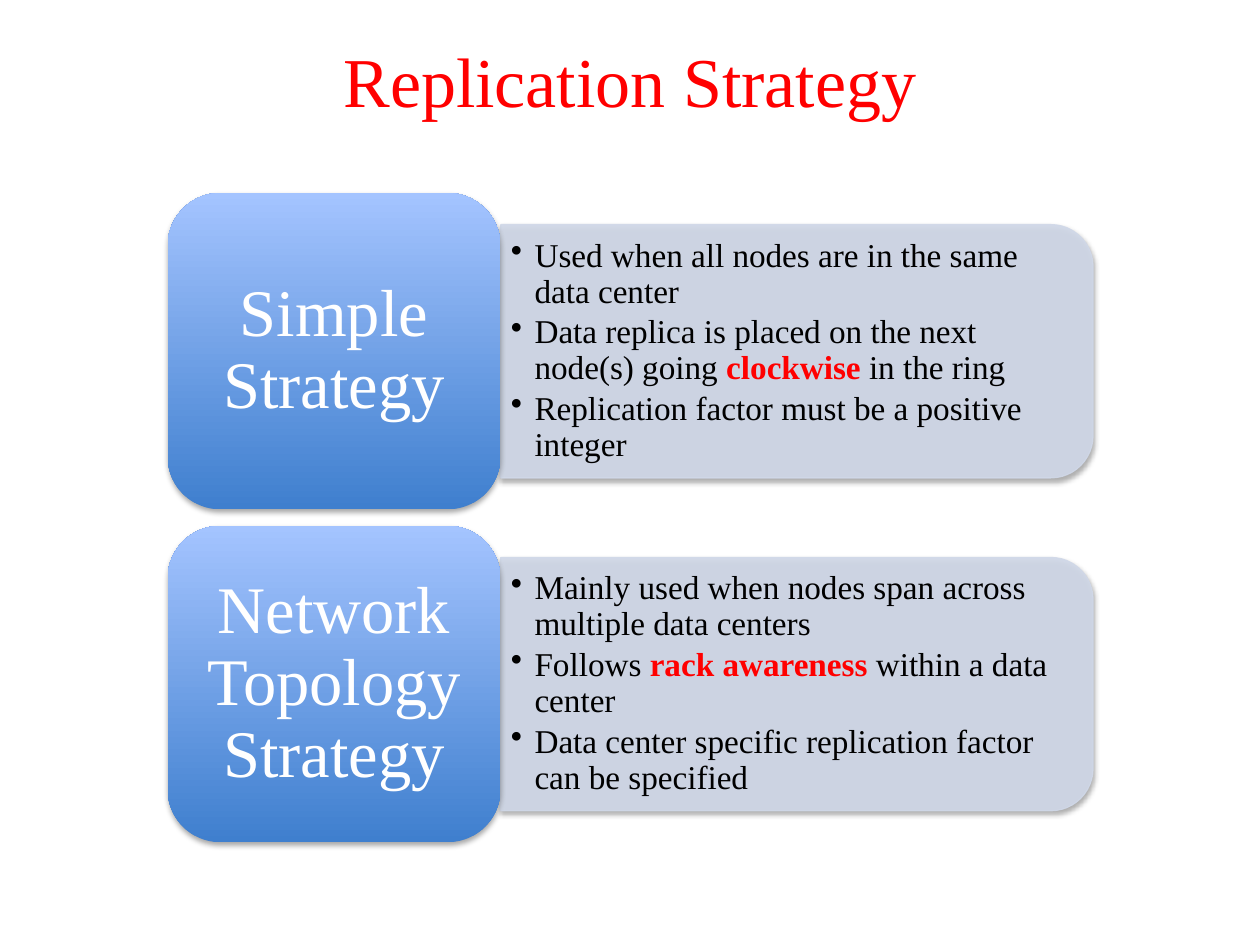
from dataclasses import dataclass

from lxml import etree
from pptx import Presentation
from pptx.dml.color import RGBColor
from pptx.enum.shapes import MSO_SHAPE
from pptx.enum.text import MSO_ANCHOR, PP_ALIGN
from pptx.oxml.ns import qn
from pptx.shapes.autoshape import Shape
from pptx.slide import Slide
from pptx.text.text import TextFrame, _Paragraph
from pptx.util import Pt

CARD = MSO_SHAPE.ROUNDED_RECTANGLE
PANEL = MSO_SHAPE.ROUND_2_SAME_RECTANGLE
MIDDLE = MSO_ANCHOR.MIDDLE
CENTER = PP_ALIGN.CENTER


@dataclass(frozen=True)
class Theme:
    font: str = "Times New Roman"
    red: RGBColor = RGBColor(0xFF, 0, 0)
    black: RGBColor = RGBColor(0, 0, 0)
    white: RGBColor = RGBColor(0xFF, 0xFF, 0xFF)
    panel: RGBColor = RGBColor(0xD0, 0xD8, 0xE8)
    deep: RGBColor = RGBColor(0x3F, 0x7F, 0xCE)
    light: RGBColor = RGBColor(0xA4, 0xC4, 0xFF)
    title: float = 40
    label: float = 38
    body: float = 19


@dataclass(frozen=True)
class Box:
    left: float
    top: float
    width: float
    height: float

    def points(self) -> tuple[Pt, Pt, Pt, Pt]:
        return Pt(self.left), Pt(self.top), Pt(self.width), Pt(self.height)


@dataclass(frozen=True)
class Point:
    start: str
    strong: str = ""
    end: str = ""


@dataclass(frozen=True)
class Topic:
    label: str
    points: tuple[Point, ...]


THEME = Theme()
TOPICS = (
    Topic("Simple Strategy", (
        Point("Used when all nodes are in the same data center"),
        Point("Data replica is placed on the next node(s) going ",
              "clockwise ", "in the ring"),
        Point("Replication factor must be a positive integer"),
    )),
    Topic("Network Topology Strategy", (
        Point("Mainly used when nodes span across multiple data centers"),
        Point("Follows ", "rack awareness ", "within a data center"),
        Point("Data center specific replication factor can be specified"),
    )),
)
FIRST = 200.7
PITCH = 190.2


def add_shadow(shape: Shape) -> None:
    shape.shadow.inherit = False
    effects = shape.element.spPr.find(qn("a:effectLst"))
    outer = etree.SubElement(
        effects, qn("a:outerShdw"), blurRad=str(Pt(3.1)), dist=str(Pt(1.8)),
        dir="5400000", rotWithShape="0")
    color = etree.SubElement(outer, qn("a:srgbClr"), val=str(THEME.black))
    etree.SubElement(color, qn("a:alpha"), val="35000")


def fade(shape: Shape) -> None:
    for color in shape.element.spPr.iter(qn("a:srgbClr")):
        etree.SubElement(color, qn("a:alpha"), val="90000")


def add_text(slide: Slide, box: Box, pad: float, rim: float) -> TextFrame:
    frame = slide.shapes.add_textbox(*box.points()).text_frame
    frame.word_wrap = True
    frame.vertical_anchor = MIDDLE
    frame.margin_left = frame.margin_right = Pt(pad)
    frame.margin_top = frame.margin_bottom = Pt(rim)
    return frame


def set_font(para: _Paragraph, size: float, color: RGBColor) -> None:
    para.font.name = THEME.font
    para.font.size = Pt(size)
    para.font.color.rgb = color


def add_label(slide: Slide, text: str, box: Box, pad: float, rim: float,
              size: float, color: RGBColor, pace: float) -> None:
    para = add_text(slide, box, pad, rim).paragraphs[0]
    para.text = text
    para.alignment = CENTER
    para.line_spacing = pace
    set_font(para, size, color)


def add_point(para: _Paragraph, point: Point) -> None:
    para.level = 1
    para.line_spacing = 0.9
    para.space_after = Pt(2.85)
    props = para._p.get_or_add_pPr()
    props.set("marL", str(Pt(13.5)))
    props.set("indent", str(Pt(-13.5)))
    etree.SubElement(props, qn("a:buChar"), char="•")
    set_font(para, THEME.body, THEME.black)
    for text in (point.start, point.strong, point.end):
        if text:
            run = para.add_run()
            run.text = text
            if text == point.strong:
                run.font.bold = True
                run.font.color.rgb = THEME.red


def add_panel(slide: Slide, mid: float, points: tuple[Point, ...]) -> None:
    wide, high = 338.4, 144.7
    box = Box(455.4 - high / 2, mid - wide / 2, high, wide)
    shape = slide.shapes.add_shape(PANEL, *box.points())
    shape.rotation = 90
    shape.fill.solid()
    shape.fill.fore_color.rgb = THEME.panel
    shape.line.color.rgb = THEME.panel
    shape.line.width = Pt(0.75)
    fade(shape)
    add_shadow(shape)
    frame = add_text(slide, Box(286, mid - 65.2, 331.2, 130.4), 6, 3)
    for index, point in enumerate(points):
        para = frame.add_paragraph() if index else frame.paragraphs[0]
        add_point(para, point)


def add_card(slide: Slide, mid: float, label: str) -> None:
    box = Box(95.8, mid - 90.4, 190.2, 180.8)
    shape = slide.shapes.add_shape(CARD, *box.points())
    shape.fill.gradient()
    shape.fill.gradient_angle = 90
    for stop, color in zip(shape.fill.gradient_stops,
                           (THEME.deep, THEME.light)):
        stop.color.rgb = color
    shape.line.fill.background()
    add_shadow(shape)
    add_label(slide, label, Box(104.6, mid - 81.6, 172.6, 163.2),
              11.4, 5.7, THEME.label, THEME.white, 0.9)


def main() -> None:
    deck = Presentation()
    deck.slide_width, deck.slide_height = Pt(720), Pt(540)
    slide = deck.slides.add_slide(deck.slide_layouts[6])
    add_label(slide, "Replication Strategy", Box(36, 8, 648, 75),
              7.2, 3.6, THEME.title, THEME.red, 1.0)
    for index, topic in enumerate(TOPICS):
        mid = FIRST + index * PITCH
        add_panel(slide, mid, topic.points)
        add_card(slide, mid, topic.label)
    deck.save("out.pptx")


if __name__ == "__main__":
    main()
